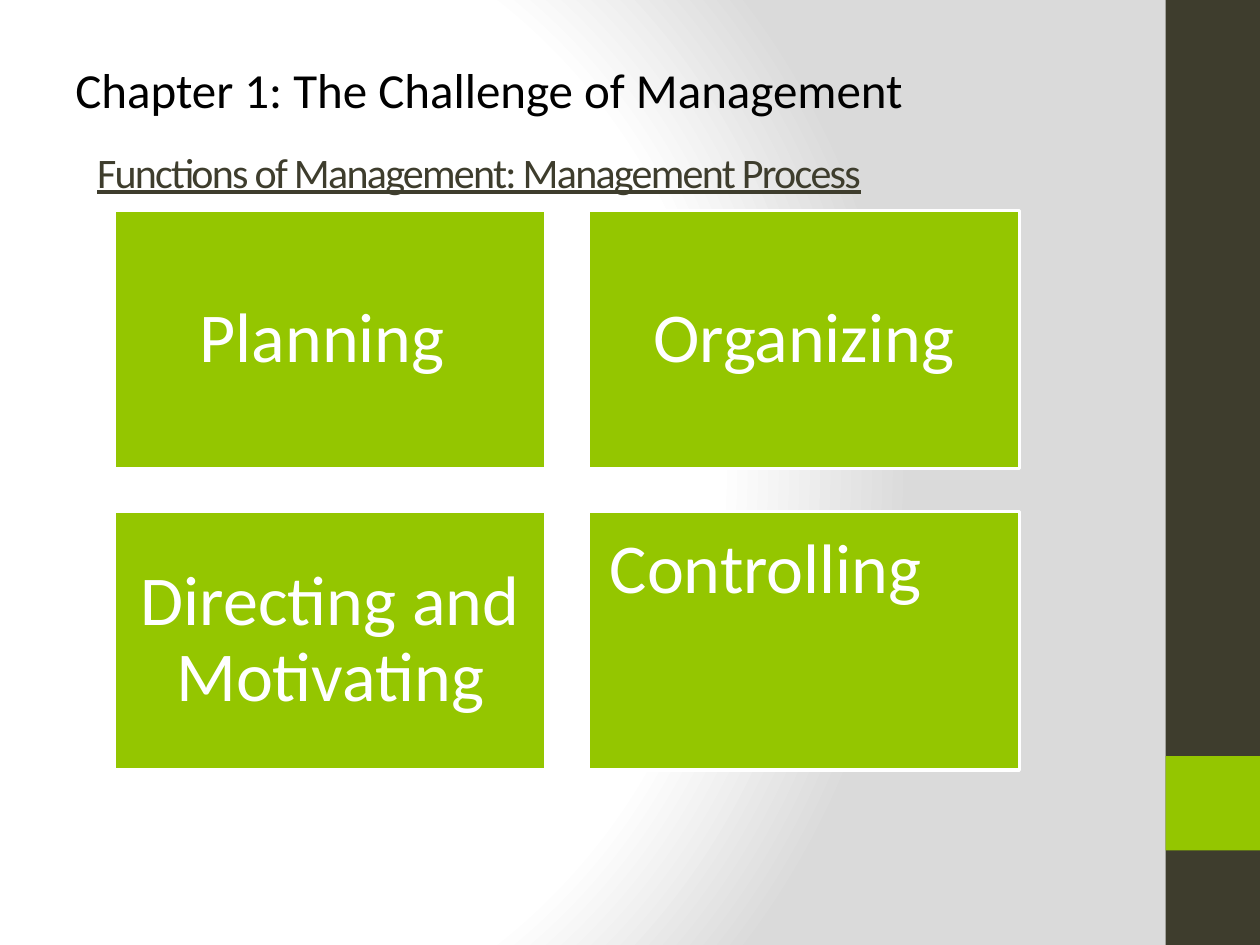
from pptx import Presentation
from pptx.dml.color import RGBColor
from pptx.enum.shapes import MSO_SHAPE
from pptx.enum.text import MSO_ANCHOR, PP_ALIGN
from pptx.oxml import parse_xml
from pptx.util import Inches, Pt

COLORS = {"dark": "3E3D2D", "green": "94C600", "white": "FFFFFF",
          "black": "000000", "gray": "DADADA"}
CHAPTER = "Chapter 1: The Challenge of Management"
TITLE = "Functions of Management: Management Process"
FUNCTIONS = [
    ("Planning ", PP_ALIGN.CENTER, MSO_ANCHOR.MIDDLE),
    ("Organizing", PP_ALIGN.CENTER, MSO_ANCHOR.MIDDLE),
    ("Directing and Motivating", PP_ALIGN.CENTER, MSO_ANCHOR.MIDDLE),
    ("Controlling", PP_ALIGN.LEFT, MSO_ANCHOR.TOP),
]
SIDEBAR = [("dark", 0, 7.5), ("green", 6, 0.75)]
GRID_LEFT, GRID_TOP, COLUMNS = 0.91, 1.67, 2
CARD_WIDTH, CARD_HEIGHT, GAP = 3.42, 2.05, 0.34
STOPS = [(0, "white"), (75, "white"), (100, "gray")]
NAMESPACES = (
    'xmlns:a="http://schemas.openxmlformats.org/drawingml/2006/main" '
    'xmlns:p="http://schemas.openxmlformats.org/presentationml/2006/main"'
)


def color(name):
    return RGBColor.from_string(COLORS[name])


def set_background(page):
    stops = "".join(
        f'<a:gs pos="{position * 1000}"><a:srgbClr val="{COLORS[name]}"/></a:gs>'
        for position, name in STOPS
    )
    page.element.cSld.insert(0, parse_xml(
        f'<p:bg {NAMESPACES}><p:bgPr><a:gradFill rotWithShape="1">'
        f'<a:gsLst>{stops}</a:gsLst><a:path path="circle">'
        '<a:fillToRect l="20000" t="50000" r="100000" b="50000"/></a:path>'
        '</a:gradFill><a:effectLst/></p:bgPr></p:bg>'
    ))


def add_rectangle(page, left, top, width, height, fill, line=None):
    box = page.shapes.add_shape(
        MSO_SHAPE.RECTANGLE, Inches(left), Inches(top), Inches(width), Inches(height))
    box.shadow.inherit = False
    box.fill.solid()
    box.fill.fore_color.rgb = color(fill)
    if line:
        box.line.color.rgb = color(line)
        box.line.width = Pt(2)
    else:
        box.line.fill.background()
    return box


def write(box, text, size, ink, align=PP_ALIGN.LEFT, anchor=MSO_ANCHOR.TOP,
          inset=(0.1, 0.05), line_spacing=1.0, underline=False, tracking=None):
    frame = box.text_frame
    frame.word_wrap = True
    frame.vertical_anchor = anchor
    frame.margin_left = frame.margin_right = Inches(inset[0])
    frame.margin_top = frame.margin_bottom = Inches(inset[1])
    para = frame.paragraphs[0]
    para.alignment = align
    para.line_spacing = line_spacing
    para.space_before = Pt(0)
    span = para.add_run()
    span.text = text
    span.font.name = "Calibri"
    span.font.size = Pt(size)
    span.font.color.rgb = color(ink)
    span.font.underline = underline
    if tracking is not None:
        span.font._element.set("spc", str(tracking * 100))


def main():
    """Build the slide on the functions of management."""
    deck = Presentation()
    deck.slide_width, deck.slide_height = Inches(10), Inches(7.5)
    page = deck.slides.add_slide(deck.slide_layouts[5])
    set_background(page)

    for fill, top, height in SIDEBAR:
        add_rectangle(page, 9.25, top, 0.75, height, fill)

    title = page.shapes.title
    title.left, title.top = Inches(0.67), Inches(1.08)
    title.width, title.height = Inches(7.58), Inches(0.56)
    write(title, TITLE, size=24, ink="dark", inset=(0.1, 0.08),
          underline=True, tracking=-1)

    chapter = page.shapes.add_textbox(
        Inches(0.5), Inches(0.42), Inches(6.92), Inches(0.83))
    write(chapter, CHAPTER, size=28, ink="black")

    for index, (text, align, anchor) in enumerate(FUNCTIONS):
        row, column = divmod(index, COLUMNS)
        card = add_rectangle(
            page, GRID_LEFT + column * (CARD_WIDTH + GAP),
            GRID_TOP + row * (CARD_HEIGHT + GAP),
            CARD_WIDTH, CARD_HEIGHT, "green", line="white")
        write(card, text, size=40, ink="white", align=align, anchor=anchor,
              inset=(0.17, 0.17), line_spacing=0.9)

    deck.save("out.pptx")


if __name__ == "__main__":
    main()
